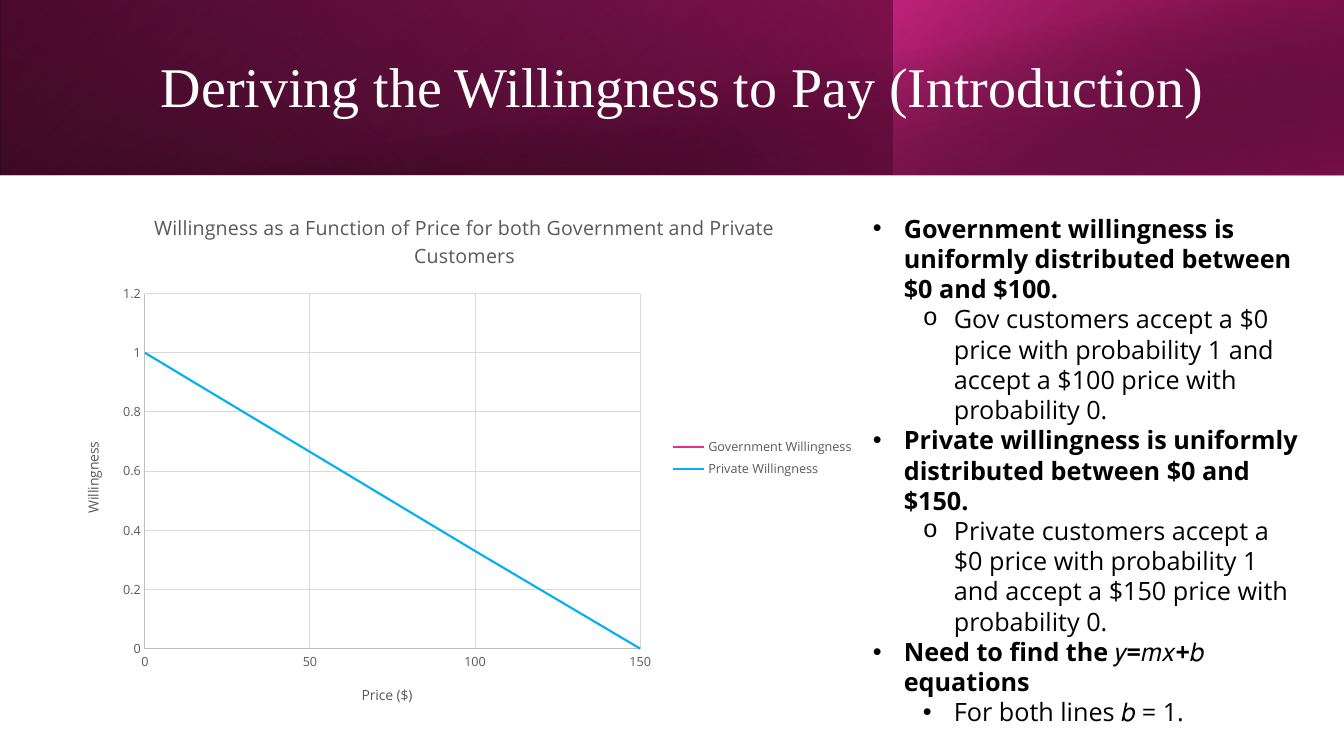
from lxml import etree
from pptx import Presentation
from pptx import util as u
from pptx.chart.data import XyChartData
from pptx.dml.color import RGBColor
from pptx.enum import chart as charts, shapes, text
from pptx.oxml import parse_xml
from pptx.oxml.ns import nsdecls, qn

PX = 914400 / 100.8
BLACK = RGBColor(0, 0, 0)
WHITE = RGBColor(255, 255, 255)
PINK = RGBColor(0xE3, 0x2D, 0x91)
MAGENTA = RGBColor(0xB4, 0x18, 0x6E)
PLUM = RGBColor(0x78, 0x10, 0x49)
BLUE = RGBColor(0x00, 0xB0, 0xF0)
GREY = RGBColor(0x59, 0x59, 0x59)
AXIS = RGBColor(0xBF, 0xBF, 0xBF)
GRID = RGBColor(0xD9, 0xD9, 0xD9)


def px(n):
    return u.Emu(round(n * PX))


class SlideBuilder:
    """Holds the style and the current slide."""

    sans = "Open Sans"
    serif = "Times New Roman"

    def __init__(self, deck):
        self.page = deck.slides.add_slide(deck.slide_layouts[6])

    def gradient(self, at, stops, angle, flip=True, turn=0):
        """Rectangle filled with stops of (position %, colour, opacity %)."""
        box = self.page.shapes.add_shape(shapes.MSO_SHAPE.RECTANGLE, *map(px, at))
        box.shadow.inherit = False
        box.line.fill.background()
        box.rotation = turn
        props = box._element.spPr
        if flip:
            props.find(qn("a:xfrm")).set("flipH", "1")
        marks = "".join(
            f'<a:gs pos="{pos * 1000}"><a:srgbClr val="{color}">'
            f'<a:alpha val="{opacity * 1000}"/></a:srgbClr></a:gs>'
            for pos, color, opacity in stops)
        fill = parse_xml(
            f'<a:gradFill {nsdecls("a")} rotWithShape="1"><a:gsLst>{marks}</a:gsLst>'
            f'<a:lin ang="{angle * 60000}" scaled="0"/></a:gradFill>')
        props.find(qn("a:prstGeom")).addnext(fill)

    def style(self, font, size, color, face=None, bold=False):
        font.name = face or self.sans
        font.size = u.Pt(size)
        font.bold = bold
        font.color.rgb = color

    def frame(self, at, anchor):
        box = self.page.shapes.add_textbox(*map(px, at))
        box.text_frame.word_wrap = True
        box.text_frame.vertical_anchor = anchor
        return box.text_frame

    def heading(self, at, words):
        para = self.frame(at, text.MSO_ANCHOR.MIDDLE).paragraphs[0]
        para.line_spacing = 0.9
        span = para.add_run()
        span.text = words
        self.style(span.font, 40, WHITE, self.serif)

    def bullets(self, at, items):
        """Items are (level, bullet, words); the top level is bold."""
        frame = self.frame(at, text.MSO_ANCHOR.TOP)
        for i, (level, mark, words) in enumerate(items):
            para = frame.add_paragraph() if i else frame.paragraphs[0]
            para.level = level
            para.line_spacing = u.Pt(21.6)
            props = para._p.get_or_add_pPr()
            props.set("marL", str(px(31 + 50 * level)))
            props.set("indent", str(-px(31)))
            face = "Courier New" if mark == "o" else "Arial"
            etree.SubElement(props, qn("a:buFont"), typeface=face)
            etree.SubElement(props, qn("a:buChar"), char=mark)
            span = para.add_run()
            span.text = words
            self.style(span.font, 18, BLACK, bold=level == 0)

    def chart_title(self, owner, words, size):
        frame = owner.text_frame
        span = frame.paragraphs[0].add_run()
        span.text = words
        self.style(span.font, size, GREY)

    def axis(self, axis, words, top, step):
        axis.minimum_scale, axis.maximum_scale, axis.major_unit = 0, top, step
        axis.major_tick_mark = axis.minor_tick_mark = charts.XL_TICK_MARK.NONE
        axis.has_major_gridlines = True
        for line, color in ((axis.format.line, AXIS), (axis.major_gridlines.format.line, GRID)):
            line.color.rgb = color
            line.width = u.Pt(0.75)
        self.style(axis.tick_labels.font, 9, GREY)
        self.chart_title(axis.axis_title, words, 10)

    def scatter(self, at, title, series, x_axis, y_axis, plot):
        """Series are (name, colour, points); a (None, None) point is a gap."""
        data = XyChartData()
        for name, _, points in series:
            entry = data.add_series(name)
            for x, y in points:
                entry.add_data_point(x, y)
        chart = self.page.shapes.add_chart(
            charts.XL_CHART_TYPE.XY_SCATTER_LINES_NO_MARKERS, *map(px, at), data).chart
        self.style(chart.font, 10, BLACK)
        chart.has_title = True
        self.chart_title(chart.chart_title, title, 14)
        chart.chart_title.include_in_layout = False
        chart.has_legend = True
        chart.legend.position = charts.XL_LEGEND_POSITION.RIGHT
        chart.legend.include_in_layout = False
        self.style(chart.legend.font, 9, GREY)
        self.axis(chart.category_axis, *x_axis)
        self.axis(chart.value_axis, *y_axis)
        chart.plots[0].vary_by_categories = False
        for line, (_, color, _) in zip(chart.plots[0].series, series):
            line.smooth = False
            line.marker.style = charts.XL_MARKER_STYLE.NONE
            line.format.line.color.rgb = color
            line.format.line.width = u.Pt(1.5)
        # Leave gaps empty in the cached values
        root = chart._chartSpace
        for point in list(root.iter(qn("c:pt"))):
            if point.findtext(qn("c:v")) == "None":
                point.getparent().remove(point)
        # Place the inner plot area
        area = root.find(".//" + qn("c:plotArea"))
        for old in area.findall(qn("c:layout")):
            area.remove(old)
        sides = "".join(f'<c:{side} val="{share}"/>' for side, share in zip("xywh", plot))
        area.insert(0, parse_xml(
            f'<c:layout {nsdecls("c")}><c:manualLayout><c:layoutTarget val="inner"/>'
            f'<c:xMode val="edge"/><c:yMode val="edge"/>{sides}'
            f'</c:manualLayout></c:layout>'))


def main():
    deck = Presentation()
    deck.slide_width, deck.slide_height = px(1344), px(756)
    slide = SlideBuilder(deck)

    # Banner
    slide.gradient((0, 0, 1344, 175), [(0, BLACK, 100), (100, MAGENTA, 100)], 220)
    slide.gradient((0, 0, 895, 175), [(20, PINK, 0), (100, PLUM, 55)], 130, turn=180)
    slide.gradient((894, 0, 450, 175), [(0, PINK, 66), (100, BLACK, 30)], 140)
    slide.gradient((50, 0, 1294, 176), [(50, BLACK, 0), (99, PLUM, 52)], 80, flip=False)
    slide.heading((151, 32, 1091, 114), "Deriving the Willingness to Pay (Introduction)")

    # Willingness chart
    slide.scatter(
        (65, 193, 799, 530),
        "Willingness as a Function of Price for both Government and Private Customers",
        [("Government Willingness", PINK, [(0, 1), (None, None), (100, 0)]),
         ("Private Willingness", BLUE, [(0, 1), (100, 0.33), (150, 0)])],
        ("Price ($)", 150, 50), ("Willingness", 1.2, 0.2),
        (0.1, 0.19, 0.62, 0.67))

    # Explanation
    slide.bullets((863, 208, 451, 529), [
        (0, "•", "Government willingness is uniformly distributed between $0 and $100."),
        (1, "o", "Gov customers accept a $0 price with probability 1 and "
                 "accept a $100 price with probability 0."),
        (0, "•", "Private willingness is uniformly distributed between $0 and $150."),
        (1, "o", "Private customers accept a $0 price with probability 1 and "
                 "accept a $150 price with probability 0."),
        (0, "•", "Need to find the 𝑦=𝑚𝑥+𝑏 equations"),
        (1, "•", "For both lines 𝑏 = 1."),
    ])
    deck.save("out.pptx")


if __name__ == "__main__":
    main()
